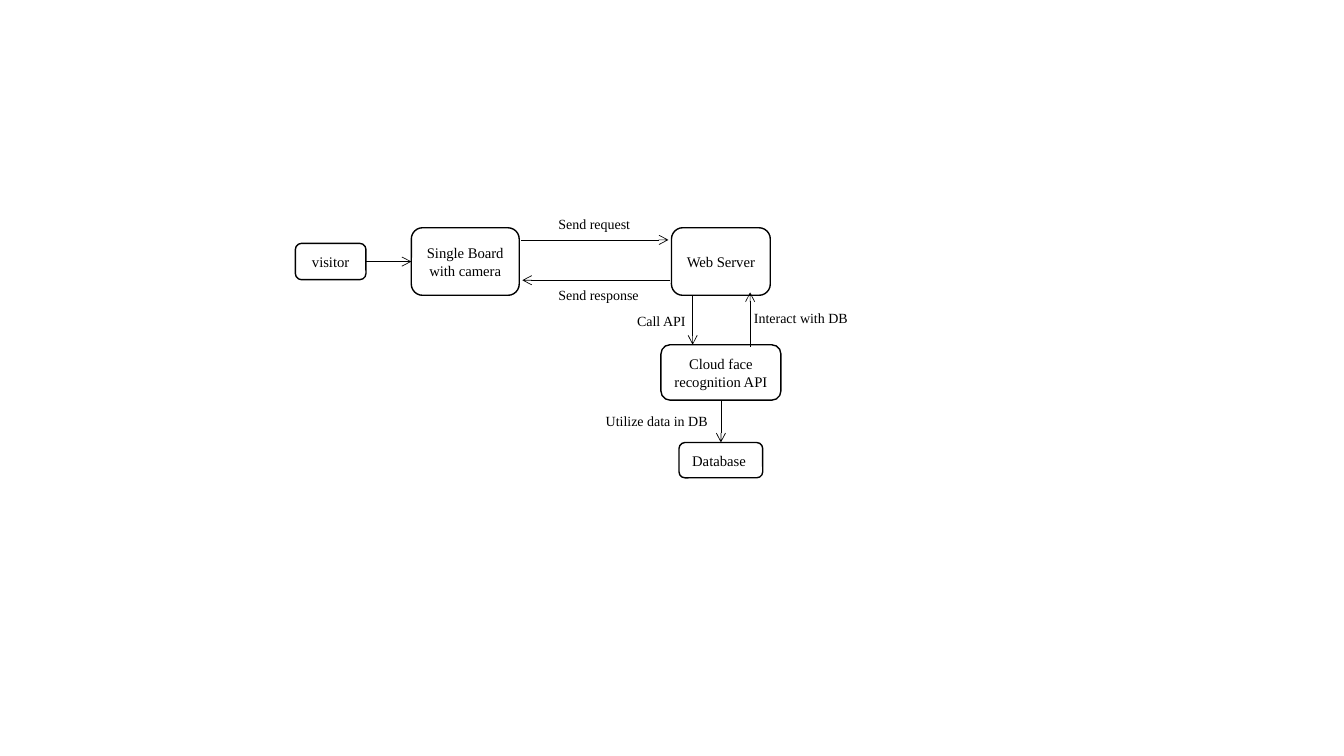
from dataclasses import dataclass

from lxml.etree import SubElement
from pptx import Presentation
from pptx.dml.color import RGBColor
from pptx.enum.shapes import MSO_CONNECTOR, MSO_SHAPE
from pptx.enum.text import MSO_ANCHOR, PP_ALIGN
from pptx.oxml.ns import qn
from pptx.util import Inches, Pt


@dataclass(frozen=True)
class Theme:
    """Colours, font and sizes of the diagram."""
    ink: RGBColor = RGBColor(0, 0, 0)
    paper: RGBColor = RGBColor(255, 255, 255)
    font: str = "Times New Roman"
    box_size: float = 10.5
    label_size: float = 10
    box_line: float = 1
    arrow_line: float = 0.5


THEME = Theme()
ROW = 2.595     # centre line of the request chain
COLUMN = 7.15   # centre line of the server stack

# name: (text, centre x, centre y, width, height)
BOXES = {
    "camera": ("Single Board with camera", 4.615, ROW, 1.07, 0.67),
    "service": ("Cloud face recognition API", COLUMN, 3.695, 1.19, 0.55),
    "server": ("Web Server", COLUMN, ROW, 0.98, 0.67),
    "database": ("Database ", COLUMN, 4.565, 0.83, 0.35),
    "visitor": ("visitor", 3.28, ROW, 0.7, 0.36),
}

# (from, to, offset from the centre line, gap at start, gap at end)
ACROSS = [
    ("visitor", "camera", 0, 0, 0),
    ("camera", "server", -0.215, 0.02, 0.03),
    ("server", "camera", 0.185, 0.01, 0.03),
]
DOWN = [
    ("server", "service", -0.28, 0, 0),
    ("service", "server", 0.29, -0.02, -0.03),
    ("service", "database", 0, 0, 0),
]

# (text, left, top, width)
LABELS = [
    ("Send request", 5.44, 2.09, 0.95),
    ("Send response", 5.44, 2.79, 1.08),
    ("Call API", 6.22, 3.05, 0.95),
    ("Utilize data in DB", 5.91, 4.04, 1.27),
    ("Interact with DB", 7.38, 3.02, 1.27),
]
LABEL_HEIGHT = 0.28


def write(frame, text, size):
    """Put one wrapped paragraph in a text frame and return it."""
    frame.word_wrap = True
    para = frame.paragraphs[0]
    para.text = text
    para.font.name = THEME.font
    para.font.size = Pt(size)
    para.font.color.rgb = THEME.ink
    return para


def add_box(page, text, center_x, center_y, width, height):
    """Draw a rounded box around its centre."""
    box = page.shapes.add_shape(
        MSO_SHAPE.ROUNDED_RECTANGLE,
        Inches(center_x - width / 2), Inches(center_y - height / 2),
        Inches(width), Inches(height))
    box.shadow.inherit = False
    box.fill.solid()
    box.fill.fore_color.rgb = THEME.paper
    box.line.color.rgb = THEME.ink
    box.line.width = Pt(THEME.box_line)
    box.text_frame.vertical_anchor = MSO_ANCHOR.MIDDLE
    write(box.text_frame, text, THEME.box_size).alignment = PP_ALIGN.CENTER


def span_between(source, target, axis, start_gap, end_gap):
    """Return the facing edges of two boxes along an axis (0 = x, 1 = y)."""
    start, end = BOXES[source], BOXES[target]
    direction = 1 if end[1 + axis] > start[1 + axis] else -1
    return (start[1 + axis] + direction * (start[3 + axis] / 2 + start_gap),
            end[1 + axis] - direction * (end[3 + axis] / 2 + end_gap))


def add_arrow(page, x1, y1, x2, y2):
    """Draw a thin line with an open arrowhead at its end."""
    arrow = page.shapes.add_connector(
        MSO_CONNECTOR.STRAIGHT, Inches(x1), Inches(y1), Inches(x2), Inches(y2))
    arrow.line.color.rgb = THEME.ink
    arrow.line.width = Pt(THEME.arrow_line)
    SubElement(arrow.line._get_or_add_ln(), qn("a:tailEnd"), type="arrow")
    SubElement(arrow._element.spPr, qn("a:effectLst"))


def add_label(page, text, left, top, width):
    """Write the caption of an arrow."""
    label = page.shapes.add_textbox(
        Inches(left), Inches(top), Inches(width), Inches(LABEL_HEIGHT))
    write(label.text_frame, text, THEME.label_size)


deck = Presentation()
deck.slide_width, deck.slide_height = Inches(13.33), Inches(7.5)
page = deck.slides.add_slide(deck.slide_layouts[6])

for box in BOXES.values():
    add_box(page, *box)
for source, target, offset, *gaps in ACROSS:
    x1, x2 = span_between(source, target, 0, *gaps)
    add_arrow(page, x1, ROW + offset, x2, ROW + offset)
for source, target, offset, *gaps in DOWN:
    y1, y2 = span_between(source, target, 1, *gaps)
    add_arrow(page, COLUMN + offset, y1, COLUMN + offset, y2)
for label in LABELS:
    add_label(page, *label)

deck.save("out.pptx")
